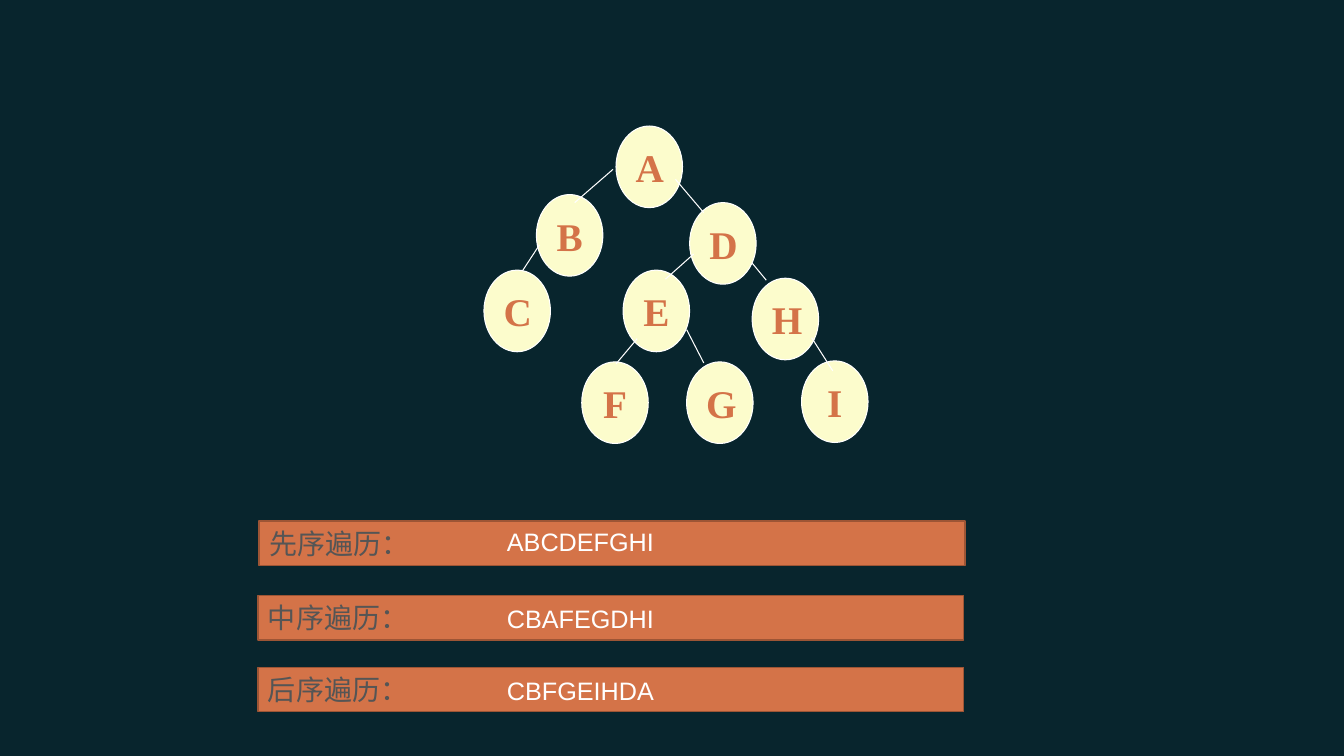
from lxml import etree
from pptx import Presentation
from pptx.dml.color import RGBColor
from pptx.enum.shapes import MSO_CONNECTOR, MSO_SHAPE
from pptx.enum.text import MSO_ANCHOR, PP_ALIGN
from pptx.oxml.ns import qn
from pptx.util import Inches, Pt

OVAL, RECTANGLE = MSO_SHAPE.OVAL, MSO_SHAPE.RECTANGLE
STRAIGHT = MSO_CONNECTOR.STRAIGHT
TOP, MIDDLE = MSO_ANCHOR.TOP, MSO_ANCHOR.MIDDLE
LEFT, CENTER = PP_ALIGN.LEFT, PP_ALIGN.CENTER

NIGHT, CREAM, WHITE = "08252D", "FCFCCC", "FFFFFF"
ORANGE, RUST, GRAY = "D47348", "9D5535", "555555"


def color(hex_string):
    return RGBColor.from_string(hex_string)


def write(shape, text, size=18, font="Arial", ink=WHITE, bold=False,
          align=LEFT, anchor=TOP, wrap=True):
    frame = shape.text_frame
    frame.word_wrap = wrap
    frame.vertical_anchor = anchor
    paragraph = frame.paragraphs[0]
    paragraph.alignment = align
    run = paragraph.add_run()
    run.text = text
    run.font.size = Pt(size)
    run.font.name = font
    run.font.bold = bold
    run.font.color.rgb = color(ink)
    etree.SubElement(run.font._element, qn("a:ea"), typeface=font)


prs = Presentation()
prs.slide_width, prs.slide_height = Inches(13.33), Inches(7.5)
slide = prs.slides.add_slide(prs.slide_layouts[6])
slide.background.fill.solid()
slide.background.fill.fore_color.rgb = color(NIGHT)

nodes = {
    "A": (6.11, 1.25), "B": (5.32, 1.93), "C": (4.8, 2.68),
    "D": (6.84, 2.01), "E": (6.18, 2.68), "F": (5.77, 3.59),
    "G": (6.81, 3.59), "H": (7.46, 2.76), "I": (7.95, 3.58),
}
for letter, (left, top) in nodes.items():
    node = slide.shapes.add_shape(
        OVAL, Inches(left), Inches(top), Inches(0.66), Inches(0.81))
    node.shadow.inherit = False
    node.fill.solid()
    node.fill.fore_color.rgb = color(CREAM)
    node.line.color.rgb = color(WHITE)
    node.line.width = Pt(0.75)
    write(node, letter, size=28, font="Times New Roman", ink=ORANGE,
          bold=True, align=CENTER, anchor=MIDDLE)

branches = [
    (6.08, 1.68, 5.7, 2.01), (5.35, 2.43, 5.18, 2.69),
    (6.7, 1.78, 6.98, 2.11), (6.88, 2.52, 6.6, 2.77),
    (6.32, 3.36, 6.11, 3.61), (6.81, 3.27, 6.98, 3.6),
    (7.46, 2.61, 7.6, 2.78), (8.05, 3.35, 8.26, 3.68),
]
for ends in branches:
    branch = slide.shapes.add_connector(STRAIGHT, *map(Inches, ends))
    branch.line.color.rgb = color(WHITE)
    branch.line.width = Pt(0.75)
    etree.SubElement(branch._element.spPr, qn("a:effectLst"))

traversals = [
    ("先序遍历：", 2.57, 5.17, "ABCDEFGHI", 5.17, 4.33, True),
    ("中序遍历：", 2.56, 5.91, "CBAFEGDHI", 5.94, 4.63, True),
    ("后序遍历：", 2.56, 6.62, "CBFGEIHDA", 6.65, 1.68, False),
]
for name, bar_left, bar_top, order, order_top, order_width, wrap in traversals:
    bar = slide.shapes.add_shape(
        RECTANGLE, Inches(bar_left), Inches(bar_top), Inches(7), Inches(0.44))
    bar.shadow.inherit = False
    bar.fill.solid()
    bar.fill.fore_color.rgb = color(ORANGE)
    bar.line.color.rgb = color(RUST)
    bar.line.width = Pt(1)
    write(bar, name, size=20, font="Noto Sans CJK SC", ink=GRAY)
    sequence = slide.shapes.add_textbox(
        Inches(4.93), Inches(order_top), Inches(order_width), Inches(0.4))
    write(sequence, order, wrap=wrap)

prs.save("out.pptx")
